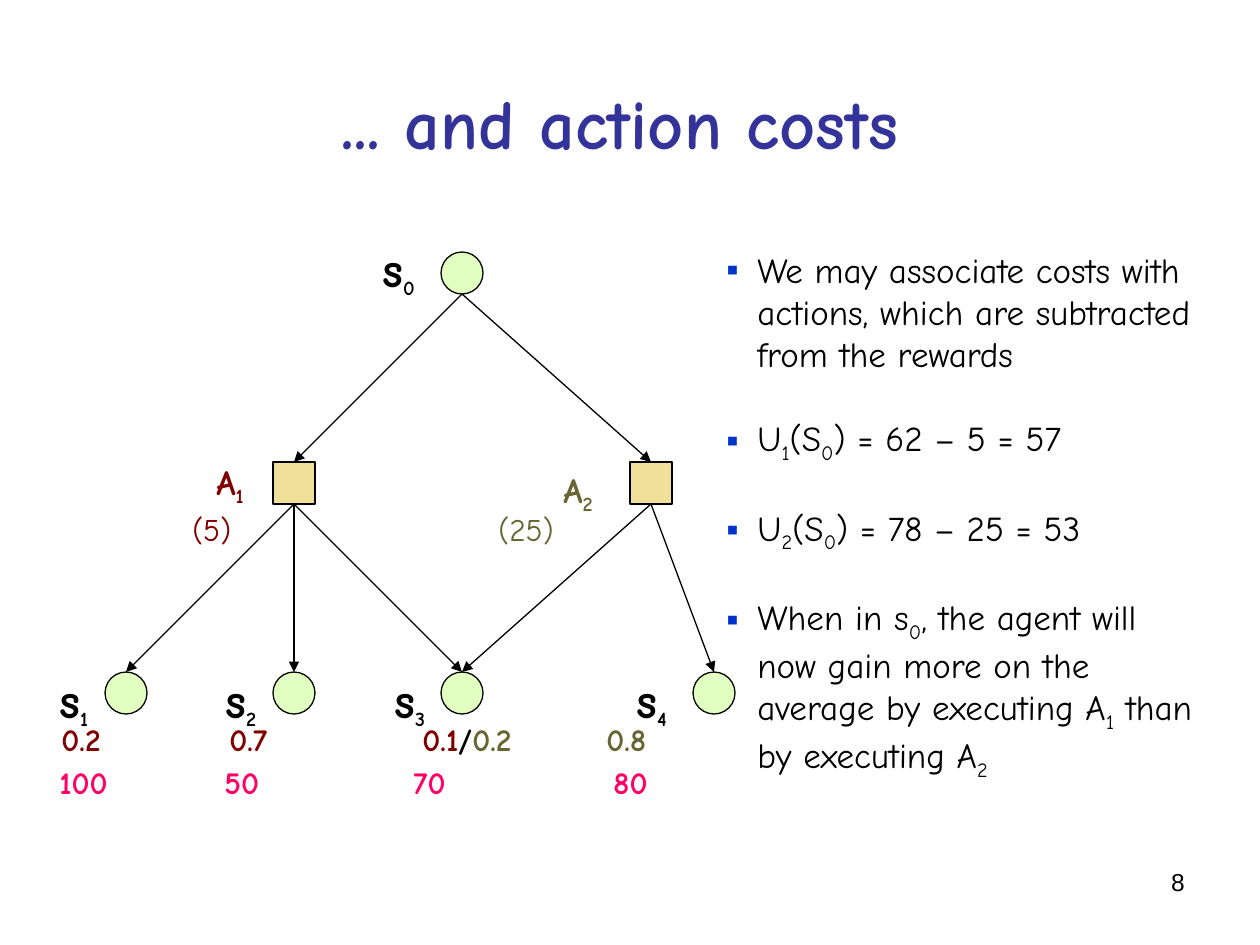
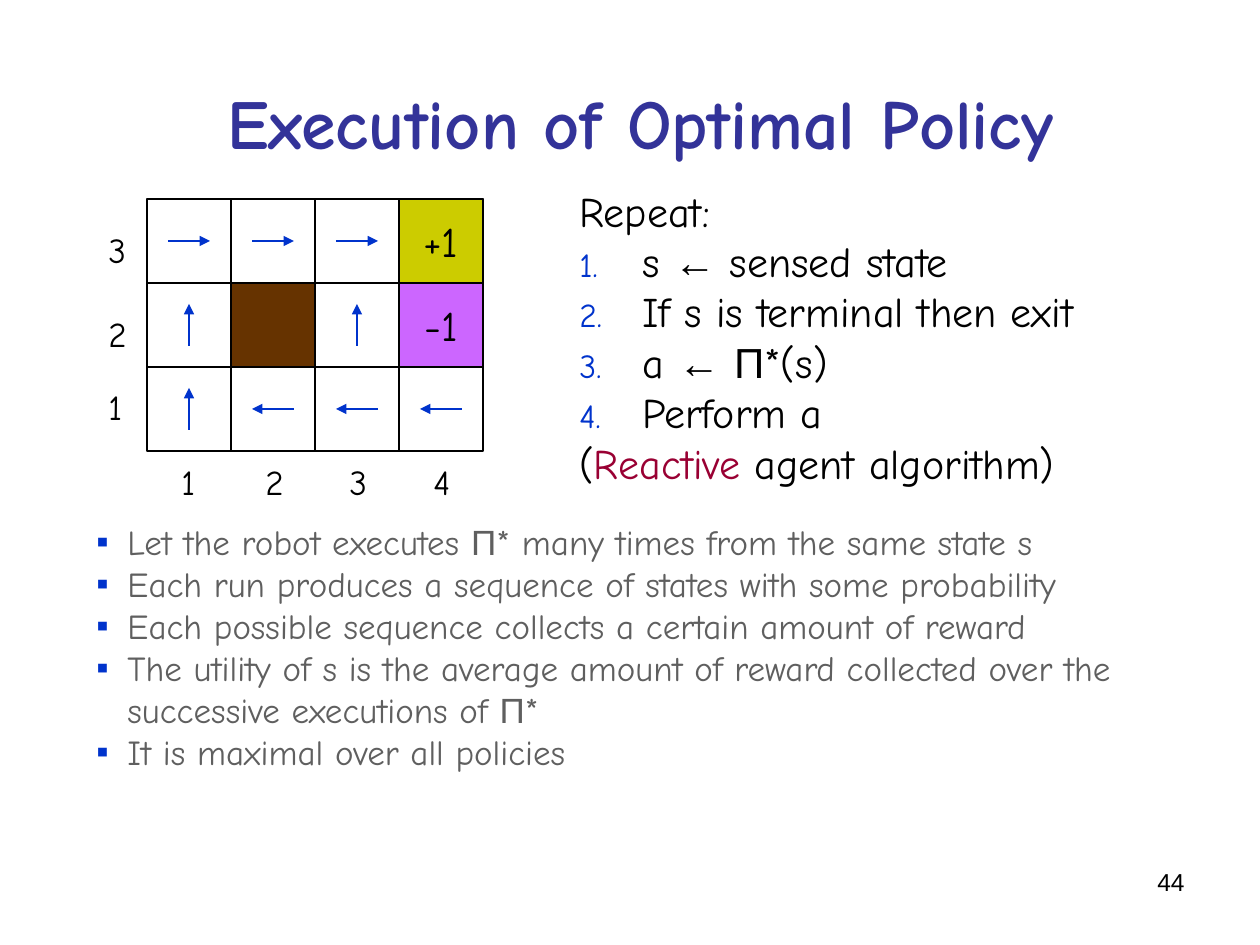
from itertools import groupby

from lxml import etree
from pptx import Presentation
from pptx.dml.color import RGBColor
from pptx.enum.shapes import MSO_CONNECTOR, MSO_SHAPE
from pptx.enum.text import MSO_ANCHOR, MSO_AUTO_SIZE, PP_ALIGN
from pptx.oxml.ns import qn
from pptx.util import Emu, Pt

EMU_PER_PX = 914400 / 126
STRAIGHT = MSO_CONNECTOR.STRAIGHT
ELLIPSE, RECTANGLE = MSO_SHAPE.OVAL, MSO_SHAPE.RECTANGLE
CENTER, RIGHT = PP_ALIGN.CENTER, PP_ALIGN.RIGHT
MIDDLE = MSO_ANCHOR.MIDDLE
FIT_SHAPE = MSO_AUTO_SIZE.SHAPE_TO_FIT_TEXT
TOP_SITE, BOTTOM_SITE = 0, 2

BODY_FONT, SYMBOL_FONT = "Comic Neue", "Arial"
SYMBOLS = "Π←"

BLACK = RGBColor(0x00, 0x00, 0x00)
TITLE_BLUE = RGBColor(0x33, 0x33, 0x99)
ACCENT_BLUE = RGBColor(0x00, 0x33, 0xCC)
GRAY = RGBColor(0x5F, 0x5F, 0x5F)
STATE_GREEN = RGBColor(0xE0, 0xFF, 0xC1)
ACTION_SAND = RGBColor(0xF0, 0xE0, 0x9A)
MAROON = RGBColor(0x80, 0x00, 0x00)
OLIVE = RGBColor(0x66, 0x66, 0x33)
REWARD_PINK = RGBColor(0xFF, 0x00, 0x66)
CRIMSON = RGBColor(0x99, 0x00, 0x33)
WALL_BROWN = RGBColor(0x66, 0x33, 0x00)
GOAL_YELLOW = RGBColor(0xCC, 0xCC, 0x00)
TRAP_PURPLE = RGBColor(0xCC, 0x66, 0xFF)

NODE = 42
CELL = 84
GRID_LEFT, GRID_TOP, COLUMNS, ROWS = 147, 199, 4, 3
POLICY = (">>> ", "^ ^ ", "^<<<")
DIRECTIONS = {">": (1, 0), "<": (-1, 0), "^": (0, -1)}


def px(*lengths):
    return [Emu(round(length * EMU_PER_PX)) for length in lengths]


def format_font(font, size, color, bold=False, name=BODY_FONT):
    font.size, font.bold, font.name = Pt(size), bold, name
    font.color.rgb = color


def split_runs(text):
    """Yield (text, is_subscript, font name); an underscore lowers the next character."""
    marked = []
    for number, part in enumerate(text.split("_")):
        for place, char in enumerate(part):
            name = SYMBOL_FONT if char in SYMBOLS else BODY_FONT
            marked.append((char, number > 0 and place == 0, name))
    for (lowered, name), group in groupby(marked, key=lambda mark: mark[1:]):
        yield "".join(mark[0] for mark in group), lowered, name


def write_runs(paragraph, content, size, color, bold=False, sub_size=None):
    """Content is a string or a list of (string, colour) pieces."""
    pieces = [(content, color)] if isinstance(content, str) else content
    for piece, piece_color in pieces:
        for text, lowered, name in split_runs(piece):
            run = paragraph.add_run()
            run.text = text
            run_size = sub_size if lowered and sub_size else size
            format_font(run.font, run_size, piece_color, bold, name)
            if lowered:
                run.font._element.set("baseline", "-25000")


def set_list_marker(paragraph, indent, numbered=False):
    properties = paragraph._p.get_or_add_pPr()
    width = px(indent)[0]
    properties.set("marL", str(width))
    properties.set("indent", str(-width))
    marker_color = etree.SubElement(properties, qn("a:buClr"))
    etree.SubElement(marker_color, qn("a:srgbClr"), val=str(ACCENT_BLUE))
    if numbered:
        etree.SubElement(properties, qn("a:buSzPct"), val="80000")
        etree.SubElement(properties, qn("a:buAutoNum"), type="arabicPeriod")
    else:
        etree.SubElement(properties, qn("a:buFont"), typeface=SYMBOL_FONT)
        etree.SubElement(properties, qn("a:buChar"), char="▪")


def add_text_box(slide, left, top, width, height):
    frame = slide.shapes.add_textbox(*px(left, top, width, height)).text_frame
    frame.word_wrap = True
    frame.auto_size = FIT_SHAPE
    return frame


def add_label(slide, left, top, width, height, content, size, color=BLACK, **style):
    """Add a one-line label; without a right inset it has room to stay on one line."""
    frame = add_text_box(slide, left, top, width, height)
    frame.margin_right = 0
    write_runs(frame.paragraphs[0], content, size, color, **style)


def add_paragraphs(frame, contents, size, color):
    for number, content in enumerate(contents):
        paragraph = frame.paragraphs[0] if number == 0 else frame.add_paragraph()
        write_runs(paragraph, content, size, color)
    return frame.paragraphs


def add_bullets(frame, contents, size, color, gap=0):
    for number, paragraph in enumerate(add_paragraphs(frame, contents, size, color)):
        set_list_marker(paragraph, 31)
        if number:
            paragraph.space_before = Pt(gap)


def add_box(slide, kind, left, top, width, height, fill=None):
    box = slide.shapes.add_shape(kind, *px(left, top, width, height))
    box.shadow.inherit = False
    if fill is None:
        box.fill.background()
    else:
        box.fill.solid()
        box.fill.fore_color.rgb = fill
    box.line.color.rgb = BLACK
    box.line.width = Pt(0.75)
    return box


def add_line(slide, start, end, color=BLACK, arrow=False):
    line = slide.shapes.add_connector(STRAIGHT, *px(*start, *end))
    line.line.color.rgb = color
    line.line.width = Pt(0.75)
    if arrow:
        etree.SubElement(line.line._get_or_add_ln(), qn("a:tailEnd"), type="triangle")
    etree.SubElement(line._element.spPr, qn("a:effectLst"))
    return line


def add_titled_slide(deck, title, left, width, page):
    slide = deck.slides.add_slide(deck.slide_layouts[5])
    heading = slide.shapes.title
    heading.left, heading.top, heading.width, heading.height = px(left, 42, width, 158)
    frame = heading.text_frame
    frame.text = title
    frame.vertical_anchor = MIDDLE
    frame.paragraphs[0].alignment = CENTER
    format_font(frame.paragraphs[0].runs[0].font, 40, TITLE_BLUE, bold=True)

    footer = slide.shapes.add_textbox(*px(903, 861, 294, 66)).text_frame
    footer.word_wrap = True
    footer.text = page
    footer.paragraphs[0].alignment = RIGHT
    format_font(footer.paragraphs[0].runs[0].font, 14, BLACK, name=SYMBOL_FONT)
    return slide


def add_decision_tree(slide):
    add_box(slide, ELLIPSE, 441, 252, NODE, NODE, STATE_GREEN)
    states = [add_box(slide, ELLIPSE, left, 672, NODE, NODE, STATE_GREEN)
              for left in (105, 273, 441, 693)]
    actions = [add_box(slide, RECTANGLE, left, 462, NODE, NODE, ACTION_SAND)
               for left in (273, 630)]
    root_bottom = (462, 294)
    for action, outcomes in zip(actions, (states[:3], states[2:])):
        choice = add_line(slide, root_bottom, root_bottom, arrow=True)
        choice.end_connect(action, TOP_SITE)
        for state in outcomes:
            outcome = add_line(slide, root_bottom, root_bottom, arrow=True)
            outcome.begin_connect(action, BOTTOM_SITE)
            outcome.end_connect(state, TOP_SITE)


def add_tree_labels(slide):
    state_labels = [("s_0", 370, 232, 58), ("s_1", 47, 663, 54), ("s_2", 213, 663, 55),
                    ("s_3", 382, 663, 55), ("s_4", 624, 663, 55)]
    for name, left, top, width in state_labels:
        add_label(slide, left, top, width, 74, name, 28, bold=True, sub_size=20)

    add_label(slide, 204, 454, 52, 60, "A_1", 20, MAROON, bold=True)
    add_label(slide, 551, 462, 54, 60, "A_2", 20, OLIVE, bold=True)
    add_label(slide, 180, 504, 64, 50, "(5)", 18, MAROON)
    add_label(slide, 486, 504, 81, 50, "(25)", 18, OLIVE)

    shared = [("0.1", MAROON), ("/", BLACK), ("0.2", OLIVE)]
    probabilities = [("0.2", 49, 64, MAROON), ("0.7", 217, 63, MAROON),
                     (shared, 410, 116, BLACK), ("0.8", 594, 64, OLIVE)]
    for probability, left, width, color in probabilities:
        add_label(slide, left, 714, width, 50, probability, 18, color, bold=True)

    rewards = [("100", 47, 73), ("50", 212, 59), ("70", 401, 59), ("80", 601, 59)]
    for reward, left, width in rewards:
        add_label(slide, left, 757, width, 50, reward, 18, REWARD_PINK, bold=True)


def add_grid_world(slide):
    width, height = COLUMNS * CELL, ROWS * CELL
    right, bottom = GRID_LEFT + width, GRID_TOP + height
    add_box(slide, RECTANGLE, GRID_LEFT, GRID_TOP, width, height)
    for column in range(1, COLUMNS):
        x = GRID_LEFT + column * CELL
        add_line(slide, (x, GRID_TOP), (x, bottom))
    for row in range(1, ROWS):
        y = GRID_TOP + row * CELL
        add_line(slide, (GRID_LEFT, y), (right, y))

    special_cells = [(1, 1, WALL_BROWN, ""), (3, 0, GOAL_YELLOW, "+1"),
                     (3, 1, TRAP_PURPLE, "-1")]
    for column, row, fill, reward in special_cells:
        cell = add_box(slide, RECTANGLE, GRID_LEFT + column * CELL,
                       GRID_TOP + row * CELL, CELL, CELL, fill)
        if reward:
            frame = cell.text_frame
            frame.text = reward
            frame.word_wrap = False
            frame.vertical_anchor = MIDDLE
            frame.paragraphs[0].alignment = CENTER
            format_font(frame.paragraphs[0].runs[0].font, 24, BLACK)

    for number, top in ((3, 222), (2, 306), (1, 379)):
        add_label(slide, 96, top, 43, 55, str(number), 20)
    for column in range(COLUMNS):
        add_label(slide, 169 + column * CELL, 454, 43, 55, str(column + 1), 20)


def add_policy_arrows(slide):
    reach = CELL // 4
    for row, moves in enumerate(POLICY):
        for column, move in enumerate(moves):
            if move in DIRECTIONS:
                dx, dy = (reach * step for step in DIRECTIONS[move])
                x = GRID_LEFT + column * CELL + CELL // 2
                y = GRID_TOP + row * CELL + CELL // 2
                add_line(slide, (x - dx, y - dy), (x + dx, y + dy), ACCENT_BLUE, arrow=True)


def add_algorithm(slide):
    steps = ["Repeat:", "s ← sensed state", "If s is terminal then exit", "a ← Π*(s)",
             "Perform a",
             [("(", BLACK), ("Reactive", CRIMSON), (" agent algorithm)", BLACK)]]
    frame = add_text_box(slide, 567, 179, 588, 315)
    for paragraph in add_paragraphs(frame, steps, 24, BLACK)[1:-1]:
        set_list_marker(paragraph, 63, numbered=True)


def build_action_costs(deck):
    slide = add_titled_slide(deck, "... and action costs", 53, 1134, "8")
    add_decision_tree(slide)
    add_tree_labels(slide)
    add_bullets(add_text_box(slide, 714, 242, 504, 546), [
        "We may associate costs with actions, which are subtracted from the rewards",
        "U_1(S_0) = 62 – 5 = 57",
        "U_2(S_0) = 78 – 25 = 53",
        "When in s_0, the agent will now gain more on the average by executing A_1"
        " than by executing A_2",
    ], 20, BLACK, gap=24)


def build_policy_execution(deck):
    slide = add_titled_slide(deck, "Execution of Optimal Policy", 84, 1113, "44")
    add_bullets(add_text_box(slide, 84, 514, 1113, 265), [
        "Let the robot executes Π* many times from the same state s",
        "Each run produces a sequence of states with some probability",
        "Each possible sequence collects a certain amount of reward",
        "The utility of s is the average amount of reward collected over the"
        " successive executions of Π*",
        "It is maximal over all policies",
    ], 20, GRAY)
    add_algorithm(slide)
    add_grid_world(slide)
    add_policy_arrows(slide)


def main():
    deck = Presentation()
    deck.slide_width, deck.slide_height = px(1260, 945)
    build_action_costs(deck)
    build_policy_execution(deck)
    deck.save("out.pptx")


if __name__ == "__main__":
    main()
